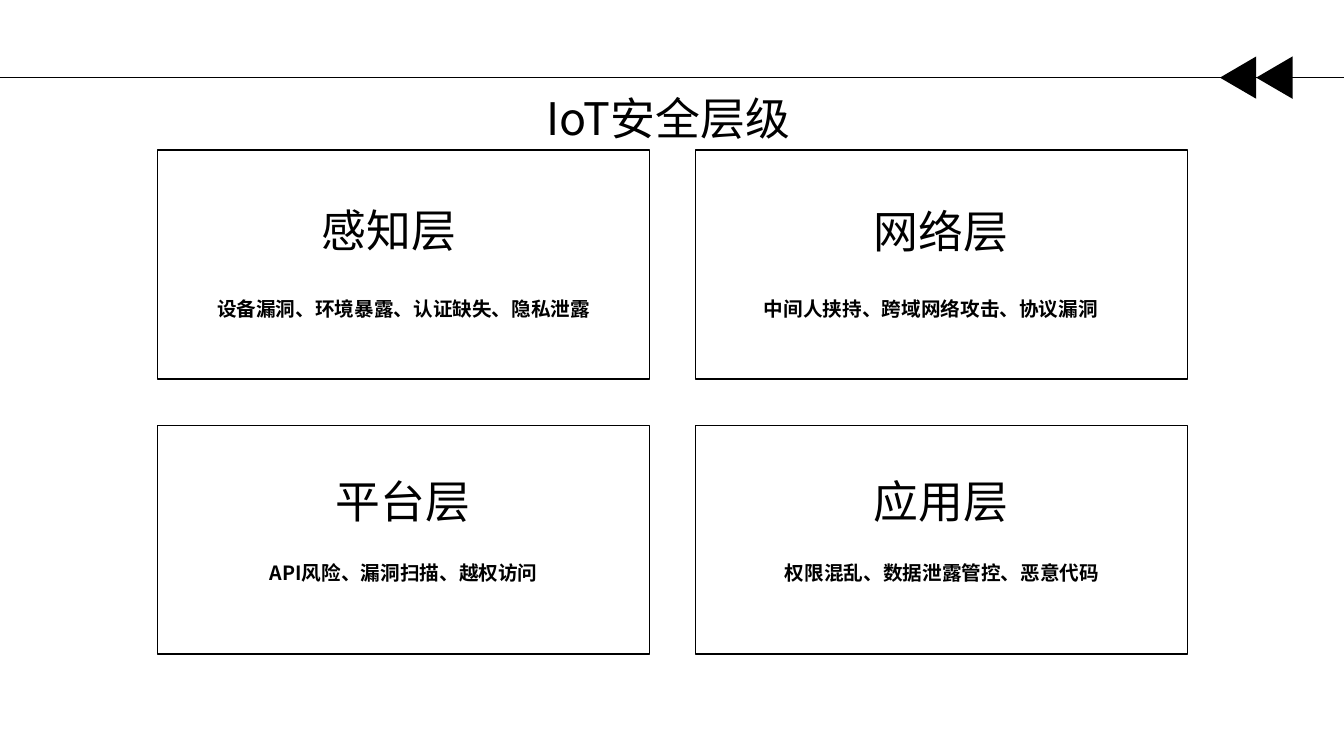
from dataclasses import dataclass

from lxml.etree import SubElement
from pptx import Presentation
from pptx.dml.color import RGBColor
from pptx.enum.shapes import MSO_CONNECTOR as CONN, MSO_SHAPE as SHAPE
from pptx.enum.text import MSO_AUTO_SIZE as AUTO, PP_ALIGN as ALIGN
from pptx.oxml.ns import qn
from pptx.slide import Slide
from pptx.util import Inches, Pt


@dataclass(frozen=True)
class Theme:
    font: str = "Noto Sans CJK SC"
    ink: RGBColor = RGBColor(0, 0, 0)
    paper: RGBColor = RGBColor(255, 255, 255)
    heading: int = 32
    body: int = 14
    rule: float = 0.5
    border: float = 1


@dataclass(frozen=True)
class Layer:
    name: str
    risks: str
    col: int
    row: int
    name_x: float
    name_y: float
    risks_x: float


THEME = Theme()
SLIDE_W, SLIDE_H = 13.33, 7.5
RULE_Y = 0.77
CARD_X, CARD_Y, CARD_W, CARD_H = 1.56, 1.49, 4.88, 2.27
STEP_X, STEP_Y = 5.34, 2.73
NAME_W, NAME_H = 3.15, 0.64
RISKS_W, RISKS_H = 4.67, 0.34
RISKS_Y = (2.9, 5.52)
ARROW_X = (12.43, 12.07)
ARROW_W, ARROW_H = 0.42, 0.36

LAYERS = (
    Layer("感知层", "设备漏洞、环境暴露、认证缺失、隐私泄露", 0, 0, 2.28, 1.96, 1.67),
    Layer("平台层", "API风险、漏洞扫描、越权访问", 0, 1, 2.42, 4.65, 1.67),
    Layer("网络层", "中间人挟持、跨域网络攻击、协议漏洞", 1, 0, 7.76, 1.97, 6.9),
    Layer("应用层", "权限混乱、数据泄露管控、恶意代码", 1, 1, 7.76, 4.65, 7.01),
)


def add_text(s: Slide, text: str, x: float, y: float, w: float, h: float,
             size: int, bold: bool = False, align: ALIGN = ALIGN.CENTER) -> None:
    tf = s.shapes.add_textbox(Inches(x), Inches(y), Inches(w), Inches(h)).text_frame
    tf.word_wrap = True
    tf.auto_size = AUTO.SHAPE_TO_FIT_TEXT
    p = tf.paragraphs[0]
    p.alignment = align
    r = p.add_run()
    r.text = text
    r.font.size = Pt(size)
    r.font.bold = bold
    r.font.color.rgb = THEME.ink
    r.font.name = THEME.font
    SubElement(r.font._element, qn("a:ea"), typeface=THEME.font)


def add_rule(s: Slide) -> None:
    rule = s.shapes.add_connector(
        CONN.STRAIGHT, Inches(0), Inches(RULE_Y), Inches(SLIDE_W), Inches(RULE_Y))
    rule.line.color.rgb = THEME.ink
    rule.line.width = Pt(THEME.rule)
    SubElement(rule._element.spPr, qn("a:effectLst"))


def add_arrow(s: Slide, x: float) -> None:
    sp = s.shapes.add_shape(SHAPE.ISOSCELES_TRIANGLE, Inches(x),
                            Inches(RULE_Y - ARROW_H / 2), Inches(ARROW_W), Inches(ARROW_H))
    sp.rotation = 270
    sp.shadow.inherit = False
    sp.fill.solid()
    sp.fill.fore_color.rgb = THEME.ink
    sp.line.fill.background()


def add_card(s: Slide, layer: Layer) -> None:
    sp = s.shapes.add_shape(
        SHAPE.RECTANGLE, Inches(CARD_X + layer.col * STEP_X),
        Inches(CARD_Y + layer.row * STEP_Y), Inches(CARD_W), Inches(CARD_H))
    sp.shadow.inherit = False
    sp.fill.background()
    sp.line.color.rgb = THEME.ink
    sp.line.width = Pt(THEME.border)
    add_text(s, layer.risks, layer.risks_x, RISKS_Y[layer.row], RISKS_W, RISKS_H,
             THEME.body, bold=True)
    add_text(s, layer.name, layer.name_x, layer.name_y, NAME_W, NAME_H, THEME.heading)


def main() -> None:
    prs = Presentation()
    prs.slide_width, prs.slide_height = Inches(SLIDE_W), Inches(SLIDE_H)
    s = prs.slides.add_slide(prs.slide_layouts[6])
    s.background.fill.solid()
    s.background.fill.fore_color.rgb = THEME.paper
    add_rule(s)
    for x in ARROW_X:
        add_arrow(s, x)
    for layer in LAYERS:
        add_card(s, layer)
    add_text(s, "IoT安全层级", 5.32, 0.85, NAME_W, NAME_H, THEME.heading, align=ALIGN.LEFT)
    prs.save("out.pptx")


if __name__ == "__main__":
    main()
